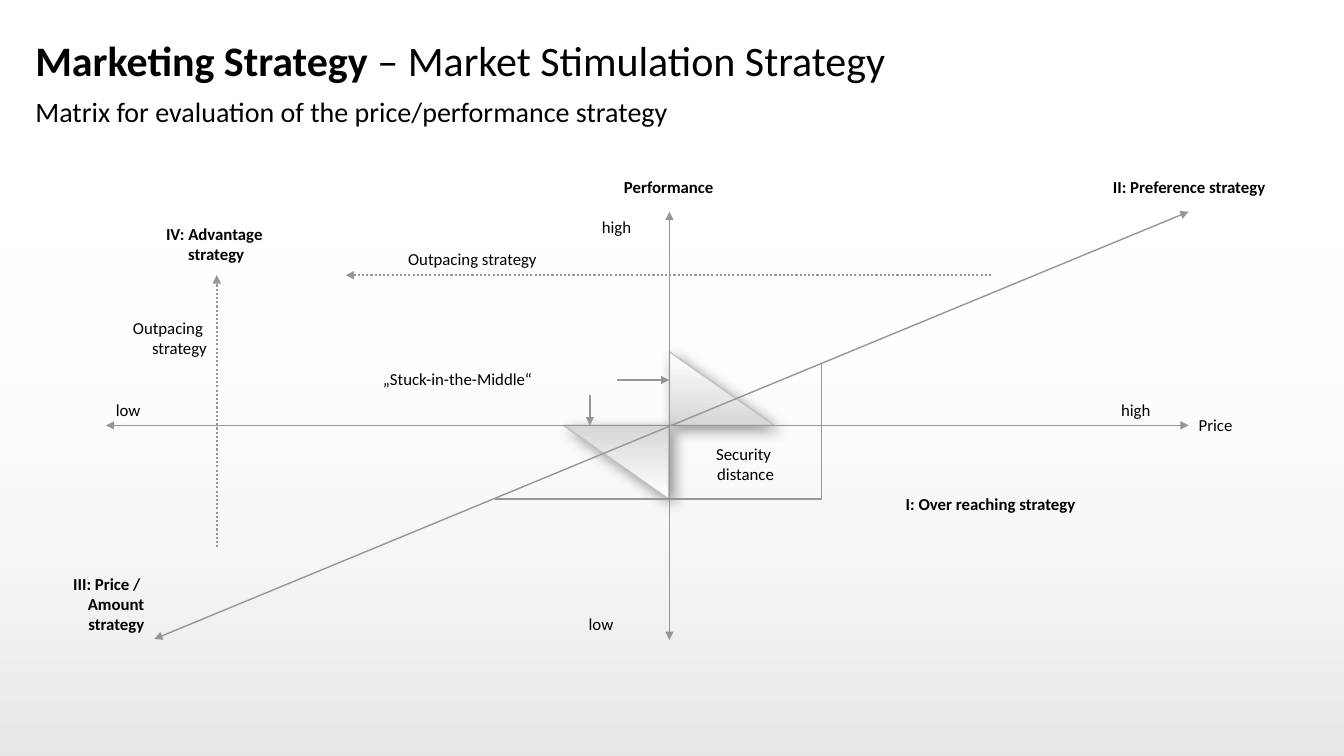
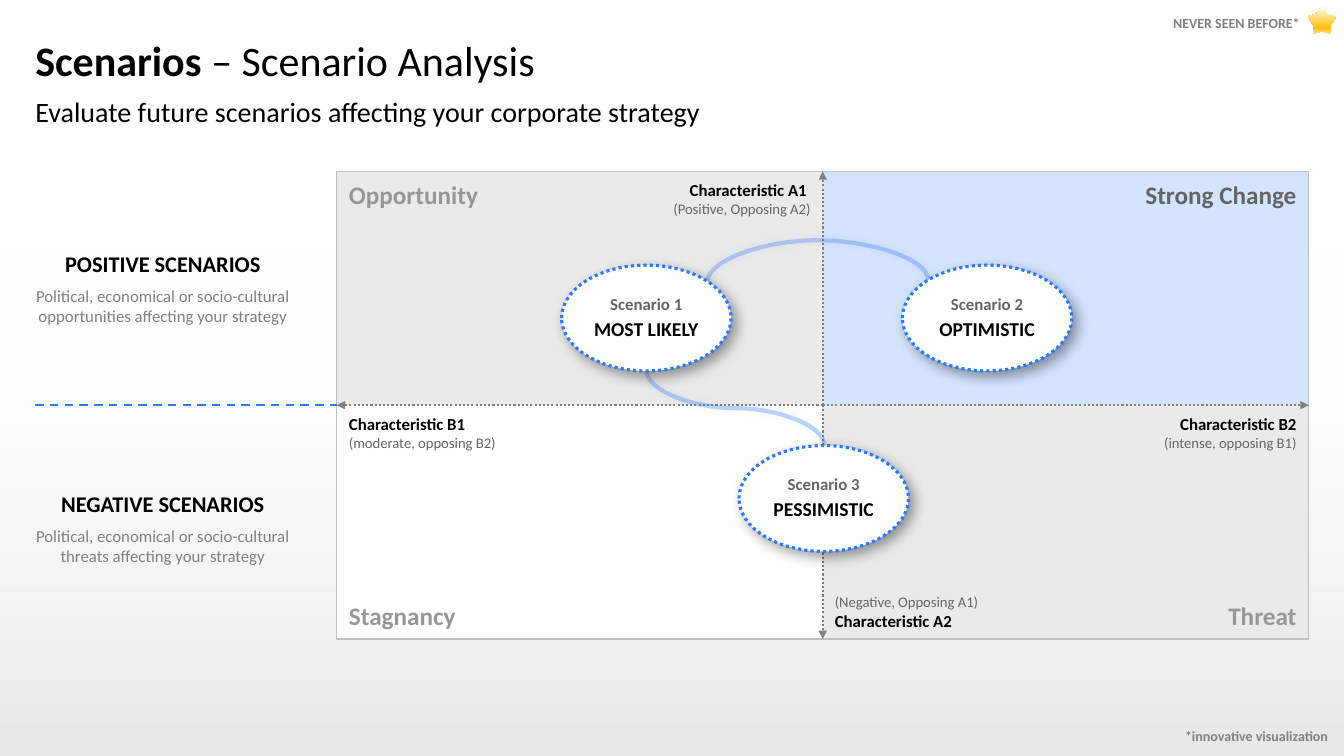
from dataclasses import dataclass

from lxml import etree
from pptx import Presentation
from pptx.dml.color import RGBColor
from pptx.enum import dml, shapes, text
from pptx.oxml import ns
from pptx.util import Inches, Pt

SHAPE, WIRE = shapes.MSO_SHAPE, shapes.MSO_CONNECTOR
LEFT, CENTER, RIGHT = text.PP_ALIGN.LEFT, text.PP_ALIGN.CENTER, text.PP_ALIGN.RIGHT
TOP, MIDDLE, BOTTOM = text.MSO_ANCHOR.TOP, text.MSO_ANCHOR.MIDDLE, text.MSO_ANCHOR.BOTTOM
DOT, DASH = dml.MSO_LINE.ROUND_DOT, dml.MSO_LINE.DASH


@dataclass(frozen=True)
class Theme:
    font: str = "Calibri"
    black: str = "000000"
    white: str = "FFFFFF"
    dark: str = "646464"
    mid: str = "808080"
    grey: str = "969696"
    border: str = "C0C0C0"
    pale: str = "EAEAEA"
    blue: str = "2A79FF"
    light_blue: str = "D4E4FF"
    # Text styles: size, colour, bold
    title: tuple = (30, "000000", None)
    subtitle: tuple = (20, "000000", False)
    label: tuple = (12, "000000", False)
    strong: tuple = (12, "000000", True)
    detail: tuple = (10.5, "646464", False)
    heading: tuple = (16, "000000", True)
    body: tuple = (12, "808080", False)
    scenario: tuple = (12, "646464", True)
    outcome: tuple = (14, "000000", True)
    note: tuple = (10, "808080", True)
    # Gradients from bottom to top: position, colour, opacity
    backdrop: tuple = ((0, "000000", 10), (100, "FFFFFF", 0))
    wedge: tuple = ((0, "D7D7D7", 100), (100, "FFFFFF", 100))
    gold: tuple = ((0, "FBE4AE", 100), (21, "FFC000", 100), (100, "FFFFFF", 100))
    # Shadows: opacity, blur, distance, direction
    drop: tuple = (40, 10, 5, 45)
    glow: tuple = (20, 6, 0, 225)


T = Theme()
FLAT = (0, 0, 0, 0)
LABEL_PAD = (0.1, 0.05, 0.1, 0.05)
CELL_PAD = (0.12, 0.08, 0.12, 0.08)
NOTE_PAD = (0, 0.04, 0.08, 0.04)

# Content: price/performance matrix
MATRIX_TITLE = ("Marketing Strategy ", "– Market Stimulation Strategy",
                "Matrix for evaluation of the price/performance strategy")
MATRIX_LABELS = [
    ("Performance", (6.09, 1.7, 1.57, 0.3), LEFT, T.strong),
    ("low", (5.74, 6.04, 0.64, 0.3), LEFT, T.label),
    ("high", (5.87, 2.1, 0.71, 0.3), LEFT, T.label),
    ("IV: Advantage \nstrategy", (1.28, 2.17, 1.73, 0.5), CENTER, T.strong),
    ("III: Price / \nAmount\nstrategy", (0.48, 5.64, 1.05, 0.71), RIGHT, T.strong),
    ("II: Preference strategy", (10.56, 1.7, 2.47, 0.3), CENTER, T.strong),
    ("I: Over reaching strategy", (8.33, 4.85, 2.99, 0.3), CENTER, T.strong),
    ("low", (1.05, 3.92, 0.64, 0.3), LEFT, T.label),
    ("Price", (11.79, 4.07, 0.77, 0.3), LEFT, T.label),
    ("high", (11.02, 3.92, 0.71, 0.3), LEFT, T.label),
    ("„Stuck-in-the-Middle“", (3.7, 3.61, 2.42, 0.3), LEFT, T.label),
    ("Security \ndistance", (6.83, 4.35, 1.13, 0.5), CENTER, T.label),
    ("Outpacing strategy", (3.95, 2.42, 2.13, 0.3), LEFT, T.label),
    ("Outpacing \nstrategy", (0.8, 3.1, 1.35, 0.5), RIGHT, T.label),
]

# Content: scenario analysis
SCENARIO_TITLE = ("Scenarios ", "– Scenario Analysis",
                  "Evaluate future scenarios affecting your corporate strategy")
QUADRANTS = [  # name, column, row, fill, text colour
    ("Opportunity", 0, 0, T.pale, T.grey),
    ("Strong Change", 1, 0, T.light_blue, T.dark),
    ("Stagnancy", 0, 1, T.white, T.grey),
    ("Threat", 1, 1, T.pale, T.grey),
]
SIDE_NOTES = [
    ("POSITIVE SCENARIOS",
     "Political, economical or socio-cultural opportunities affecting your strategy", 0),
    ("NEGATIVE SCENARIOS",
     "Political, economical or socio-cultural threats affecting your strategy", 0.12),
]
SCENARIOS = [
    ("Scenario 3", "PESSIMISTIC", 7.33, 4.42),
    ("Scenario 2", "OPTIMISTIC", 8.95, 2.63),
    ("Scenario 1", "MOST LIKELY", 5.57, 2.63),
]
CURVES = [  # box, rotation, flips, bend
    ((6.93, 3.17, 0.73, 1.76), 270, ("flipV",), 0.5),
    ((8.1, 1.69, 0.02, 2.19), 90, ("flipH", "flipV"), 20.5),
]
FOOTNOTES = [("NEVER SEEN BEFORE*", 11.04, 0.11), ("*innovative visualization", 11.32, 7.18)]


# Drawing helpers
def child(parent, tag, **attributes):
    node = etree.SubElement(parent, ns.qn("a:" + tag))
    for key, value in attributes.items():
        node.set(key, str(value))
    return node


def inches(values):
    return [Inches(v) for v in values]


def add_shadow(item, shadow):
    opacity, blur, distance, direction = shadow
    effects = item._element.spPr.find(ns.qn("a:effectLst"))
    outer = child(effects, "outerShdw", blurRad=Pt(blur), dist=Pt(distance),
                  dir=direction * 60000, algn="ctr", rotWithShape=0)
    child(child(outer, "srgbClr", val=T.black), "alpha", val=opacity * 1000)


def set_gradient(shape, stops):
    shape.fill.background()
    empty = shape._element.spPr.find(ns.qn("a:noFill"))
    gradient = etree.Element(ns.qn("a:gradFill"), rotWithShape="1")
    stop_list = child(gradient, "gsLst")
    for position, colour, opacity in stops:
        stop = child(stop_list, "gs", pos=position * 1000)
        child(child(stop, "srgbClr", val=colour), "alpha", val=opacity * 1000)
    child(gradient, "lin", ang=270 * 60000, scaled=0)
    empty.getparent().replace(empty, gradient)


def set_line(line, colour, width, dash=None):
    line.color.rgb = RGBColor.from_string(colour)
    line.width = Pt(width)
    if dash:
        line.dash_style = dash


def add_figure(slide, kind, box, fill=None, line=None, shadow=None):
    figure = slide.shapes.add_shape(kind, *inches(box))
    if isinstance(fill, tuple):
        set_gradient(figure, fill)
    elif fill:
        figure.fill.solid()
        figure.fill.fore_color.rgb = RGBColor.from_string(fill)
    else:
        figure.fill.background()
    if line:
        set_line(figure.line, *line)
    else:
        figure.line.fill.background()
    figure.shadow.inherit = False
    if shadow:
        add_shadow(figure, shadow)
    return figure


def add_wire(slide, start, end, line, head=False, tail=False, kind=WIRE.STRAIGHT):
    wire = slide.shapes.add_connector(kind, *inches(start + end))
    set_line(wire.line, *line)
    for tag, shown in (("headEnd", head), ("tailEnd", tail)):
        if shown:
            child(wire.line._get_or_add_ln(), tag, type="triangle")
    child(wire._element.spPr, "effectLst")
    return wire


def style_font(font, style):
    size, colour, bold = style
    font.name, font.size, font.bold = T.font, Pt(size), bold
    font.color.rgb = RGBColor.from_string(colour)


def write(holder, lines, align=LEFT, anchor=TOP, pad=FLAT, after=0, spacing=None):
    frame = holder.text_frame
    frame.word_wrap, frame.vertical_anchor = True, anchor
    frame.margin_left, frame.margin_top, frame.margin_right, frame.margin_bottom = inches(pad)
    for number, (words, style) in enumerate(lines):
        paragraph = frame.add_paragraph() if number else frame.paragraphs[0]
        paragraph.alignment, paragraph.space_after = align, Pt(after)
        if spacing:
            paragraph.line_spacing = spacing
        paragraph.add_run().text = words
        style_font(paragraph.font, style)
    return frame


def add_text(slide, box, lines, **layout):
    return write(slide.shapes.add_textbox(*inches(box)), lines, **layout)


def start_slide(deck, topic, rest, subtitle):
    slide = deck.slides.add_slide(deck.slide_layouts[6])
    add_figure(slide, SHAPE.RECTANGLE, (0, 2.21, 13.33, 5.29), T.backdrop)
    heading = add_text(slide, (0.35, 0.26, 12.62, 0.67), [(topic, T.title)],
                       anchor=MIDDLE).paragraphs[0]
    heading.runs[0].font.bold = True
    heading.add_run().text = rest
    add_text(slide, (0.35, 0.94, 12.62, 0.37), [(subtitle, T.subtitle)])
    return slide


# Slide 1
def build_matrix(deck):
    slide = start_slide(deck, *MATRIX_TITLE)
    x, y, width, height = 6.64, 4.22, 1.04, 0.73
    solid, dotted = (T.grey, 1), (T.grey, 1.5, DOT)

    # Stuck-in-the-middle wedges
    for left, top, turn in ((x, y - height, 0), (x - width - 0.01, y, 180)):
        wedge = add_figure(slide, SHAPE.RIGHT_TRIANGLE, (left, top, width, height),
                           T.wedge, (T.border, 1), T.drop)
        wedge.rotation = turn

    # Axes, strategy diagonal and outpacing arrows
    for start, end in (((x, 2.1), (x, 6.35)), ((1.05, y), (11.79, y)),
                       ((1.53, 6.34), (11.79, 2.1))):
        add_wire(slide, start, end, solid, head=True, tail=True)
    for start, end in (((9.83, 2.73), (3.43, 2.73)), ((2.15, 5.43), (2.15, 2.73))):
        add_wire(slide, start, end, dotted, tail=True)

    # Security distance
    right, bottom = x + 1.51, y + height
    add_figure(slide, SHAPE.RECTANGLE, (x, y, 1.51, height), line=solid)
    add_wire(slide, (x, bottom), (4.91, bottom), solid)
    add_wire(slide, (right, y), (right, 3.6), solid)

    # Pointers and labels
    for start, end in (((6.12, 3.77), (x, 3.77)), ((5.85, 3.92), (5.85, y))):
        add_wire(slide, start, end, solid, tail=True)
    for words, box, align, style in MATRIX_LABELS:
        add_text(slide, box, [(line, style) for line in words.split("\n")],
                 align=align, pad=LABEL_PAD)


# Slide 2
def build_scenarios(deck):
    slide = start_slide(deck, *SCENARIO_TITLE)
    left, top, width, height = 3.34, 1.7, 4.82, 2.32
    x, y = left + width, top + height
    right, bottom = x + width, y + height

    # Quadrants and frame
    for name, column, row, fill, colour in QUADRANTS:
        cell = add_figure(slide, SHAPE.RECTANGLE,
                          (left + column * width, top + row * height, width, height), fill)
        write(cell, [(name, (18, colour, True))], align=(LEFT, RIGHT)[column],
              anchor=(TOP, BOTTOM)[row], pad=CELL_PAD)
    add_figure(slide, SHAPE.RECTANGLE, (left, top, 2 * width, 2 * height), line=(T.border, 1))

    # Axes run outwards from the centre
    for end in ((left, y), (x, top), (x, bottom), (right, y)):
        add_wire(slide, (x, y), end, (T.mid, 1.5, DOT), tail=True)
    add_wire(slide, (0.35, y), (left, y), (T.blue, 1.5, DASH))

    # Axis captions
    a1 = [("Characteristic A1 ", T.strong), ("(Positive, Opposing A2)", T.detail)]
    a2 = [("(Negative, Opposing A1)", T.detail), ("Characteristic A2", T.strong)]
    b1 = [("Characteristic B1 ", T.strong), ("(moderate, opposing B2)", T.detail)]
    b2 = [("Characteristic B2", T.strong), ("(intense, opposing B1)", T.detail)]
    for lines, at_x, at_y, align, anchor in (
            (a1, left, top, RIGHT, TOP), (a2, x, bottom - 0.39, LEFT, BOTTOM),
            (b1, left, y, LEFT, TOP), (b2, x, y, RIGHT, TOP)):
        add_text(slide, (at_x, at_y, width, 0.39), lines, align=align, anchor=anchor,
                 pad=CELL_PAD)

    # Side notes
    for row, (name, details, inset) in enumerate(SIDE_NOTES):
        add_text(slide, (0.35, top + row * height, 2.53, height),
                 [(name, T.heading), (details, T.body)],
                 align=CENTER, anchor=MIDDLE, pad=(0, inset, 0, 0), after=6)

    # Links between scenarios
    for (at_x, at_y, w, h), turn, flips, bend in CURVES:
        curve = add_wire(slide, (at_x, at_y), (at_x + w, at_y + h), (T.blue, 3),
                         kind=WIRE.CURVE)
        properties = curve._element.spPr
        frame = properties.find(ns.qn("a:xfrm"))
        frame.set("rot", str(turn * 60000))
        for flip in flips:
            frame.set(flip, "1")
        guides = properties.find(ns.qn("a:prstGeom")).find(ns.qn("a:avLst"))
        child(guides, "gd", name="adj1", fmla=f"val {round(bend * 100000)}")
        child(next(properties.iter(ns.qn("a:srgbClr"))), "alpha", val=30000)
        add_shadow(curve, T.glow)

    # Scenario bubbles
    for name, outcome, at_x, at_y in SCENARIOS:
        bubble = add_figure(slide, SHAPE.OVAL, (at_x, at_y, 1.68, 1.05), T.white,
                            (T.blue, 2.25, DOT), T.drop)
        write(bubble, [(name, T.scenario), (outcome, T.outcome)], align=CENTER,
              anchor=MIDDLE, after=4, spacing=0.9)

    # Star and footnotes
    star = add_figure(slide, SHAPE.STAR_5_POINT, (12.97, 0.06, 0.28, 0.28), T.gold)
    star.adjustments[0] = 0.31
    for words, at_x, at_y in FOOTNOTES:
        add_text(slide, (at_x, at_y, 1.93, 0.28), [(words, T.note)], align=RIGHT,
                 anchor=MIDDLE, pad=NOTE_PAD, spacing=0.7)


def main():
    deck = Presentation()
    deck.slide_width, deck.slide_height = Inches(13.33), Inches(7.5)
    build_matrix(deck)
    build_scenarios(deck)
    deck.save("out.pptx")


if __name__ == "__main__":
    main()
